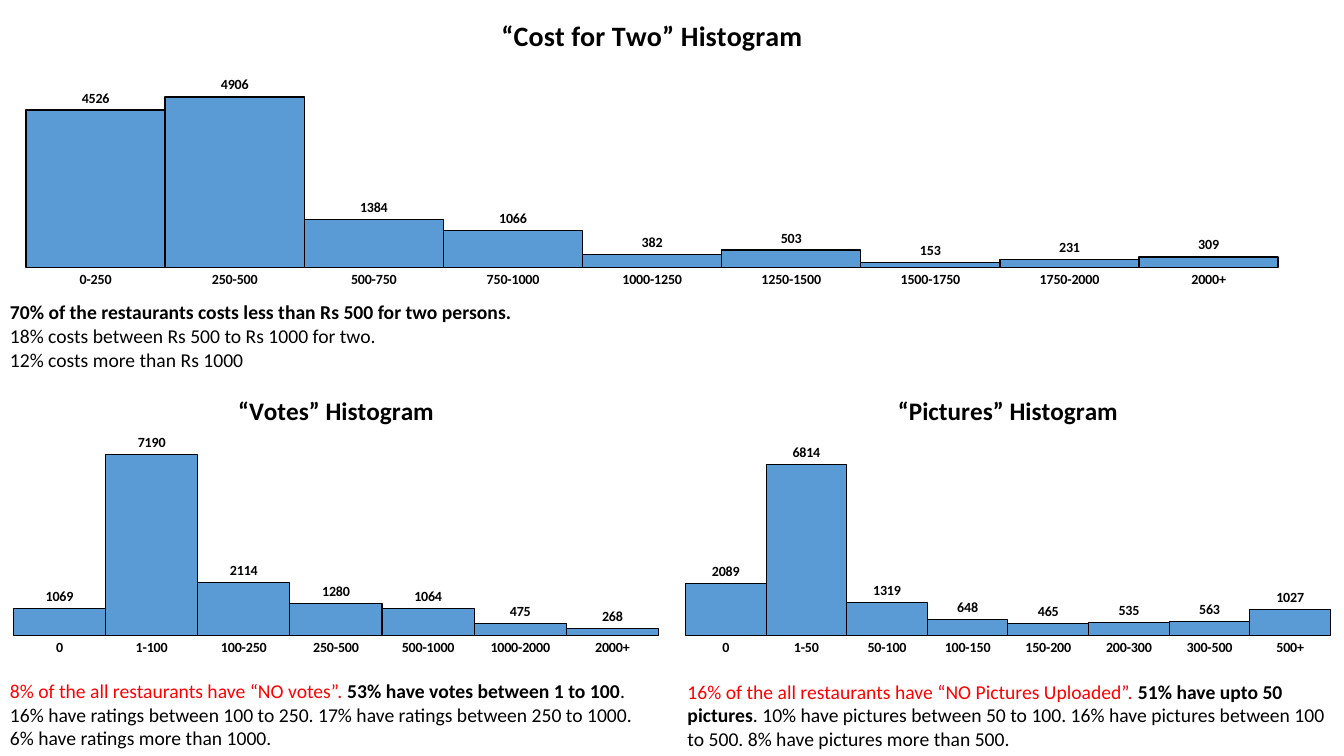
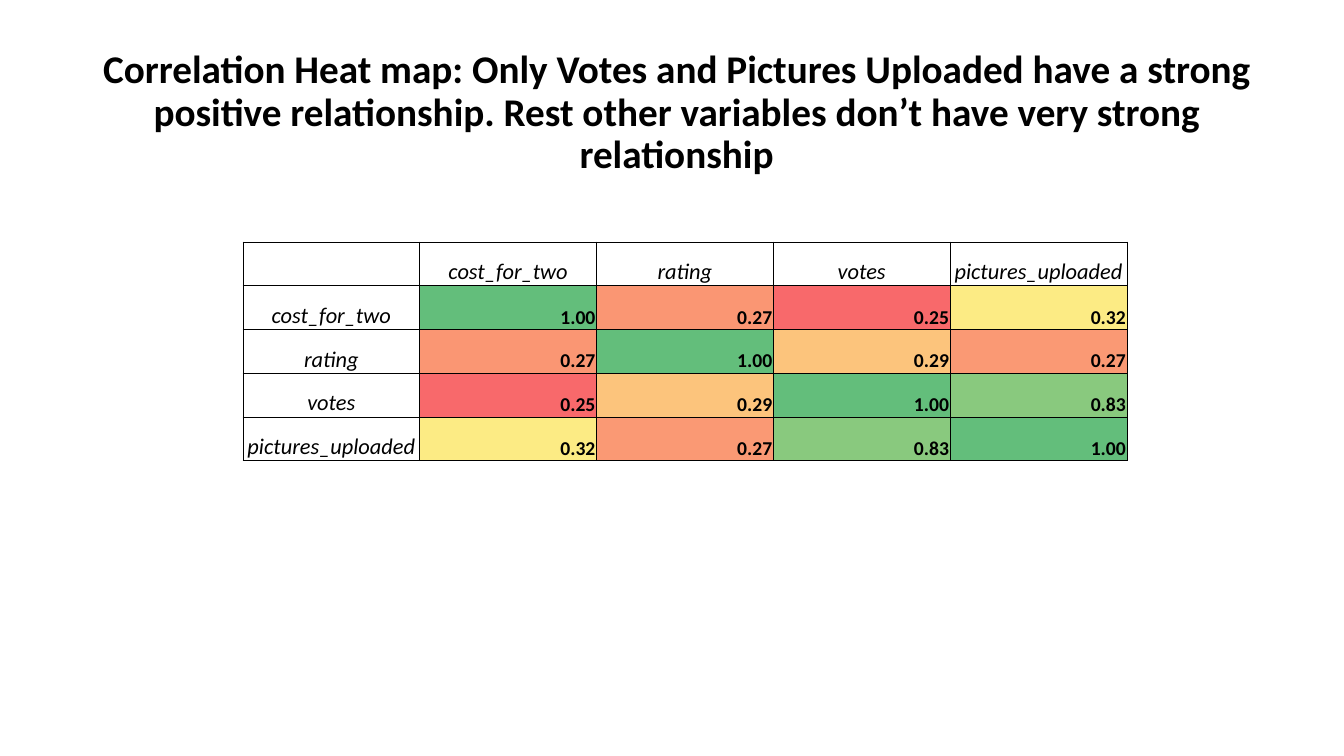
"""Build two slides: restaurant histograms and a correlation heat map."""
from dataclasses import dataclass
from typing import NamedTuple

from lxml.etree import SubElement
from pptx import Presentation
from pptx.chart.data import CategoryChartData
from pptx.dml.color import RGBColor
from pptx.enum.chart import XL_CHART_TYPE, XL_LABEL_POSITION, XL_TICK_MARK
from pptx.enum.text import MSO_ANCHOR, MSO_AUTO_SIZE, PP_ALIGN
from pptx.oxml.ns import qn
from pptx.slide import Slide
from pptx.table import _Cell
from pptx.text.text import Font
from pptx.util import Pt

FONT = "Calibri"
BLACK = RGBColor(0x00, 0x00, 0x00)
RED = RGBColor(0xFF, 0x00, 0x00)
BLUE = RGBColor(0x5B, 0x9B, 0xD5)
GREEN = RGBColor(0x63, 0xBE, 0x7B)
LIGHT_GREEN = RGBColor(0x89, 0xC9, 0x7E)
YELLOW = RGBColor(0xFC, 0xEB, 0x84)
AMBER = RGBColor(0xFC, 0xC4, 0x7C)
ORANGE = RGBColor(0xFA, 0x99, 0x74)
DEEP_ORANGE = RGBColor(0xFA, 0x96, 0x73)
CORAL = RGBColor(0xF8, 0x69, 0x6B)

PAGE_WIDTH, PAGE_HEIGHT = 960, 540
HALF_WIDTH = PAGE_WIDTH / 2
PLOT_LAYOUT = {"x": 0.02, "y": 0.2, "w": 0.96, "h": 0.71}
COLUMN_WIDTH, ROW_HEIGHT = 126.3, 31.25


class Area(NamedTuple):
    """A rectangle in points."""

    left: float
    top: float
    width: float
    height: float

    def lengths(self) -> list[Pt]:
        """Return the four lengths for python-pptx."""
        return [Pt(value) for value in self]


@dataclass(frozen=True)
class Histogram:
    """A titled column chart with touching bars."""

    title: str
    title_size: float
    area: Area
    counts: dict[str, int]
    axis_maximum: int
    line_width: float


@dataclass(frozen=True)
class Span:
    """A piece of text in one format."""

    text: str
    bold: bool = False
    color: RGBColor = BLACK


@dataclass(frozen=True)
class Caption:
    """A text box of paragraphs made of spans."""

    area: Area
    paragraphs: list[list[Span]]


class Correlation(NamedTuple):
    """A correlation and its heat colour."""

    value: float
    fill: RGBColor


HISTOGRAMS = [
    Histogram("“Cost for Two” Histogram", 20, Area(0, 0, 931.7, 210.2),
              {"0-250": 4526, "250-500": 4906, "500-750": 1384,
               "750-1000": 1066, "1000-1250": 382, "1250-1500": 503,
               "1500-1750": 153, "1750-2000": 231, "2000+": 309}, 6000, 1),
    Histogram("“Votes” Histogram", 18, Area(0, 270, HALF_WIDTH, 202.3),
              {"0": 1069, "1-100": 7190, "100-250": 2114, "250-500": 1280,
               "500-1000": 1064, "1000-2000": 475, "2000+": 268}, 8000, 0.75),
    Histogram("“Pictures” Histogram", 18,
              Area(HALF_WIDTH, 270, HALF_WIDTH, 202.3),
              {"0": 2089, "1-50": 6814, "50-100": 1319, "100-150": 648,
               "150-200": 465, "200-300": 535, "300-500": 563,
               "500+": 1027}, 8000, 0.75),
]

CAPTIONS = [
    Caption(Area(0, 211, 919.4, 58.3), [
        [Span("70% of the restaurants costs less than Rs 500 for two persons.",
              bold=True)],
        [Span("18% costs between Rs 500 to Rs 1000 for two.")],
        [Span("12% costs more than Rs 1000")],
    ]),
    Caption(Area(0, 481.7, HALF_WIDTH, 58.3), [
        [Span("8% of the all restaurants have “NO votes”. ", color=RED),
         Span("53% have votes between 1 to 100", bold=True),
         Span(". 16% have ratings between 100 to 250. "
              "17% have ratings between 250 to 1000.")],
        [Span("6% have ratings more than 1000.")],
    ]),
    Caption(Area(484, 482, HALF_WIDTH, 58.3), [
        [Span("16% of the all restaurants have “NO Pictures Uploaded”. ",
              color=RED),
         Span("51% have upto 50 pictures", bold=True),
         Span(". 10% have pictures between 50 to 100. 16% have pictures "
              "between 100 to 500. 8% have pictures more than 500.")],
    ]),
]

HEADLINE = Caption(Area(48, 28.8, 870.5, 104.4), [[
    Span("Correlation Heat map: Only Votes and Pictures Uploaded have a "
         "strong positive relationship. Rest other variables don’t have "
         "very strong relationship", bold=True)]])

VARIABLES = ["cost_for_two", "rating", "votes", "pictures_uploaded"]
IDENTITY = Correlation(1, GREEN)
PAIRS = {
    (0, 1): Correlation(0.27, DEEP_ORANGE),
    (0, 2): Correlation(0.25, CORAL),
    (0, 3): Correlation(0.32, YELLOW),
    (1, 2): Correlation(0.29, AMBER),
    (1, 3): Correlation(0.27, ORANGE),
    (2, 3): Correlation(0.83, LIGHT_GREEN),
}


def style_font(font: Font, size: float, bold: bool = False,
               italic: bool = False, color: RGBColor = BLACK) -> None:
    """Apply the shared typeface and the given format."""
    font.name, font.size = FONT, Pt(size)
    font.bold, font.italic = bold, italic
    font.color.rgb = color


def add_histogram(page: Slide, histogram: Histogram) -> None:
    """Draw one histogram with value labels."""
    data = CategoryChartData()
    data.categories = list(histogram.counts)
    data.add_series("Series 1", list(histogram.counts.values()))
    chart = page.shapes.add_chart(XL_CHART_TYPE.COLUMN_CLUSTERED,
                                  *histogram.area.lengths(), data).chart
    chart.has_legend = False
    style_font(chart.font, 10)

    chart.has_title = True
    chart.chart_title.include_in_layout = False
    title = chart.chart_title.text_frame
    title.text = histogram.title
    style_font(title.paragraphs[0].runs[0].font, histogram.title_size, bold=True)

    chart.value_axis.visible = False
    chart.value_axis.has_major_gridlines = False
    chart.value_axis.minimum_scale = 0
    chart.value_axis.maximum_scale = histogram.axis_maximum
    chart.category_axis.major_tick_mark = XL_TICK_MARK.NONE
    chart.category_axis.format.line.fill.background()
    style_font(chart.category_axis.tick_labels.font, 10, bold=True)

    plot = chart.plots[0]
    plot.gap_width = 0
    plot.vary_by_categories = False
    plot.has_data_labels = True
    plot.data_labels.show_value = True
    plot.data_labels.position = XL_LABEL_POSITION.OUTSIDE_END
    style_font(plot.data_labels.font, 10, bold=True)
    bars = plot.series[0].format
    bars.fill.solid()
    bars.fill.fore_color.rgb = BLUE
    bars.line.color.rgb = BLACK
    bars.line.width = Pt(histogram.line_width)

    plot_area = chart.element.find(f".//{qn('c:plotArea')}")
    for layout in plot_area.findall(qn("c:layout")):
        plot_area.remove(layout)
    layout = SubElement(plot_area, qn("c:layout"))
    plot_area.insert(0, layout)
    manual = SubElement(layout, qn("c:manualLayout"))
    settings = {"layoutTarget": "inner", "xMode": "edge", "yMode": "edge",
                **PLOT_LAYOUT}
    for name, value in settings.items():
        SubElement(manual, qn(f"c:{name}")).set("val", str(value))


def add_caption(page: Slide, caption: Caption, size: float = 14,
                align: PP_ALIGN = PP_ALIGN.LEFT,
                anchor: MSO_ANCHOR = MSO_ANCHOR.TOP,
                line_spacing: float = 1.0,
                auto_size: MSO_AUTO_SIZE = MSO_AUTO_SIZE.SHAPE_TO_FIT_TEXT) -> None:
    """Draw a text box with formatted spans."""
    frame = page.shapes.add_textbox(*caption.area.lengths()).text_frame
    frame.word_wrap = True
    frame.auto_size = auto_size
    frame.vertical_anchor = anchor
    for index, spans in enumerate(caption.paragraphs):
        para = frame.add_paragraph() if index else frame.paragraphs[0]
        para.alignment = align
        para.line_spacing = line_spacing
        for span in spans:
            run = para.add_run()
            run.text = span.text
            style_font(run.font, size, span.bold, color=span.color)


def add_borders(cell: _Cell) -> None:
    """Outline a cell with thin black lines."""
    properties = cell._tc.get_or_add_tcPr()
    for index, side in enumerate(("lnL", "lnR", "lnT", "lnB")):
        line = SubElement(properties, qn(f"a:{side}"), w=str(Pt(0.5)))
        fill = SubElement(line, qn("a:solidFill"))
        SubElement(fill, qn("a:srgbClr"), val=str(BLACK))
        properties.insert(index, line)


def fill_cell(cell: _Cell, row: int, column: int) -> None:
    """Write a variable name or a coloured correlation."""
    cell.margin_left = cell.margin_right = cell.margin_top = Pt(0.75)
    cell.margin_bottom = Pt(0)
    cell.vertical_anchor = MSO_ANCHOR.BOTTOM
    para = cell.text_frame.paragraphs[0]
    if row and column:
        pair = (min(row, column) - 1, max(row, column) - 1)
        correlation = PAIRS.get(pair, IDENTITY)
        para.text = f"{correlation.value:.2f}"
        para.alignment = PP_ALIGN.RIGHT
        style_font(para.runs[0].font, 14, bold=True)
        cell.fill.solid()
        cell.fill.fore_color.rgb = correlation.fill
    else:
        cell.fill.background()
        if row or column:
            para.text = VARIABLES[max(row, column) - 1]
            para.alignment = PP_ALIGN.CENTER
            style_font(para.runs[0].font, 16, italic=True)
    add_borders(cell)


def add_heat_map(page: Slide) -> None:
    """Draw the correlation table."""
    count = len(VARIABLES) + 1
    area = Area(173.5, 172.8, COLUMN_WIDTH * count, ROW_HEIGHT * count)
    table = page.shapes.add_table(count, count, *area.lengths()).table
    table.first_row = table.horz_banding = False
    for column in table.columns:
        column.width = Pt(COLUMN_WIDTH)
    for row_index, row in enumerate(table.rows):
        row.height = Pt(ROW_HEIGHT)
        for column_index, cell in enumerate(row.cells):
            fill_cell(cell, row_index, column_index)


def main() -> None:
    """Create and save the deck."""
    deck = Presentation()
    deck.slide_width, deck.slide_height = Pt(PAGE_WIDTH), Pt(PAGE_HEIGHT)
    blank = deck.slide_layouts[6]

    histogram_page = deck.slides.add_slide(blank)
    for histogram in HISTOGRAMS:
        add_histogram(histogram_page, histogram)
    for caption in CAPTIONS:
        add_caption(histogram_page, caption)

    heat_map_page = deck.slides.add_slide(blank)
    add_caption(heat_map_page, HEADLINE, 28, PP_ALIGN.CENTER,
                MSO_ANCHOR.MIDDLE, 0.9, MSO_AUTO_SIZE.NONE)
    add_heat_map(heat_map_page)

    deck.save("out.pptx")


if __name__ == "__main__":
    main()
